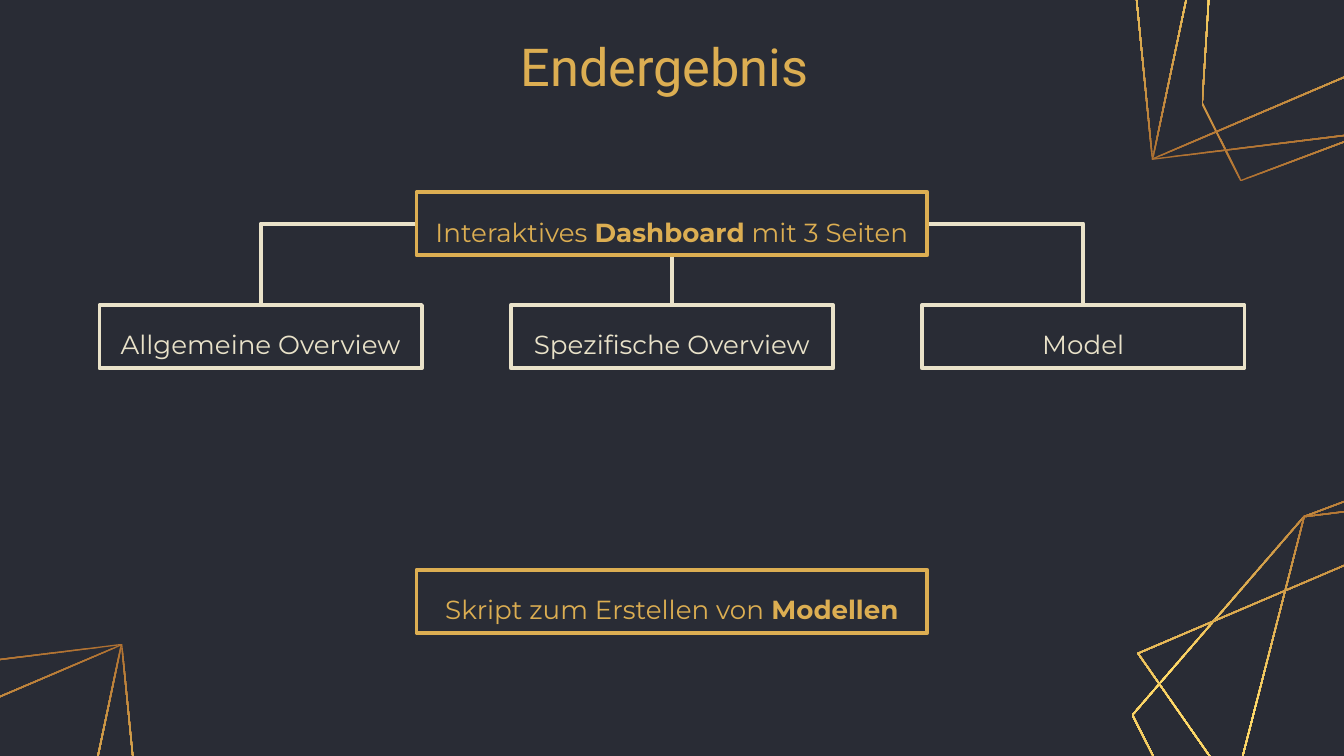
"""Build the "Endergebnis" slide: a dashboard tree, a script box and line ornaments."""
from copy import deepcopy
from math import hypot

from pptx import Presentation
from pptx.dml.color import RGBColor
from pptx.enum.shapes import MSO_CONNECTOR as CONN, MSO_SHAPE as SHAPE
from pptx.enum.text import MSO_ANCHOR as ANCHOR, PP_ALIGN as ALIGN
from pptx.oxml.ns import qn
from pptx.util import Inches, Pt

BG, GOLD, CREAM = "292C35", "DCAE52", "E9E2C9"
GRADIENT = [(0, "AF7132"), (0.5, "FFDD6B"), (1, GOLD)]

TITLE = "Endergebnis"
ROOT = [("Interaktives ", False), ("Dashboard", True), (" mit 3 Seiten", False)]
PAGES = ["Allgemeine Overview", "Spezifische Overview", "Model"]
SCRIPT = [("Skript zum Erstellen von ", False), ("Modellen", True)]

WIDTH = 10
HEIGHT = WIDTH * 9 / 16
CENTER, PITCH, BOX_H = WIDTH / 2, 3.06, 0.47
WIDE, NARROW = 3.8, 2.4
ROOT_Y, PAGE_Y, SCRIPT_Y = 1.43, 2.27, 4.24

OUTLINE = 0.01
HEXAGON = [(9.02, 6.5), (8.42, 5.32), (9.7, 3.84), (10.66, 3.48), (10.95, 4.06), (10.83, 5.97)]
PENTAGON = [(9.89, 6.91), (9.02, 6.49), (9.7, 3.84), (11.32, 3.64), (10.83, 5.97)]
QUAD = [(9.89, 6.91), (8.46, 4.86), (11.32, 3.64), (11.45, 4.95)]
ORNAMENTS = [
    ([HEXAGON, PENTAGON, QUAD], 1, 0, 0),
    ([HEXAGON, PENTAGON, QUAD], -1, 19.89, 4.83),
    ([PENTAGON, QUAD], 1, -10.41, 1.15),
]


def color(value):
    return RGBColor.from_string(value)


def inset(points, d):
    """Move every edge of a clockwise polygon inwards by d."""
    result = []
    for i, (x, y) in enumerate(points):
        (x0, y0), (x1, y1) = points[i - 1], points[(i + 1) % len(points)]
        a, b = hypot(x - x0, y - y0), hypot(x1 - x, y1 - y)
        ux, uy, vx, vy = (x - x0) / a, (y - y0) / a, (x1 - x) / b, (y1 - y) / b
        k = d / (1 + ux * vx + uy * vy)
        result.append((x - k * (uy + vy), y + k * (ux + vx)))
    return result


def add_ornament(s, points, sign, dx, dy):
    outer = [(sign * x + dx, sign * y + dy) for x, y in points]
    rings = [[(Inches(x), Inches(y)) for x, y in ring] for ring in (outer, inset(outer, OUTLINE))]
    builder = s.shapes.build_freeform(*rings[0][0])
    builder.add_line_segments(rings[0][1:], close=True)
    builder.move_to(*rings[1][0])
    builder.add_line_segments(rings[1][1:], close=True)
    sp = builder.convert_to_shape()
    sp.shadow.inherit = False
    sp.line.fill.background()
    sp.fill.gradient()
    sp.fill.gradient_angle = 270 if sign > 0 else 90
    stops = next(sp._element.iter(qn("a:gsLst")))
    stops.append(deepcopy(stops[0]))
    for stop, (position, value) in zip(sp.fill.gradient_stops, GRADIENT):
        stop.position = position
        stop.color.rgb = color(value)


def add_connector(s, kind):
    c = s.shapes.add_connector(kind, 0, 0, 0, 0)
    c.line.color.rgb = color(CREAM)
    c.line.width = Pt(2.25)
    sp_pr = c._element.spPr
    sp_pr.append(sp_pr.makeelement(qn("a:effectLst"), {}))
    if kind == CONN.ELBOW:
        sp_pr.find(qn("a:prstGeom")).set("prst", "bentConnector2")
    return c


def set_text(tf, runs, font, size, value):
    tf.word_wrap = True
    tf.vertical_anchor = ANCHOR.MIDDLE
    p = tf.paragraphs[0]
    p.alignment = ALIGN.CENTER
    p.font.name, p.font.size = font, Pt(size)
    p.font.color.rgb = color(value)
    for text, bold in runs:
        r = p.add_run()
        r.text = text
        if bold:
            r.font.bold = True
    return p


def add_box(s, center, top, width, runs, value):
    sp = s.shapes.add_shape(SHAPE.RECTANGLE, Inches(center - width / 2), Inches(top),
                            Inches(width), Inches(BOX_H))
    sp.shadow.inherit = False
    sp.fill.solid()
    sp.fill.fore_color.rgb = color(BG)
    sp.line.color.rgb = color(value)
    sp.line.width = Pt(2)
    set_text(sp.text_frame, runs, "Montserrat", 14, value).line_spacing = 1.5
    return sp


def main():
    prs = Presentation()
    prs.slide_width, prs.slide_height = Inches(WIDTH), Inches(HEIGHT)
    s = prs.slides.add_slide(prs.slide_layouts[6])
    s.background.fill.solid()
    s.background.fill.fore_color.rgb = color(BG)

    for polygons, sign, dx, dy in ORNAMENTS:
        for points in polygons:
            add_ornament(s, points, sign, dx, dy)

    title = s.shapes.add_textbox(Inches(2.13), Inches(0.25), Inches(5.63), Inches(0.47))
    set_text(title.text_frame, [(TITLE, False)], "Roboto", 28, GOLD)

    links = [add_connector(s, kind) for kind in (CONN.ELBOW, CONN.STRAIGHT, CONN.ELBOW)]
    root = add_box(s, CENTER, ROOT_Y, WIDE, ROOT, GOLD)
    for i, (link, page, side) in enumerate(zip(links, PAGES, (1, 2, 3))):
        box = add_box(s, CENTER + (i - 1) * PITCH, PAGE_Y, NARROW, [(page, False)], CREAM)
        link.begin_connect(root, side)
        link.end_connect(box, 0)
    add_box(s, CENTER, SCRIPT_Y, WIDE, SCRIPT, GOLD)
    prs.save("out.pptx")


if __name__ == "__main__":
    main()
